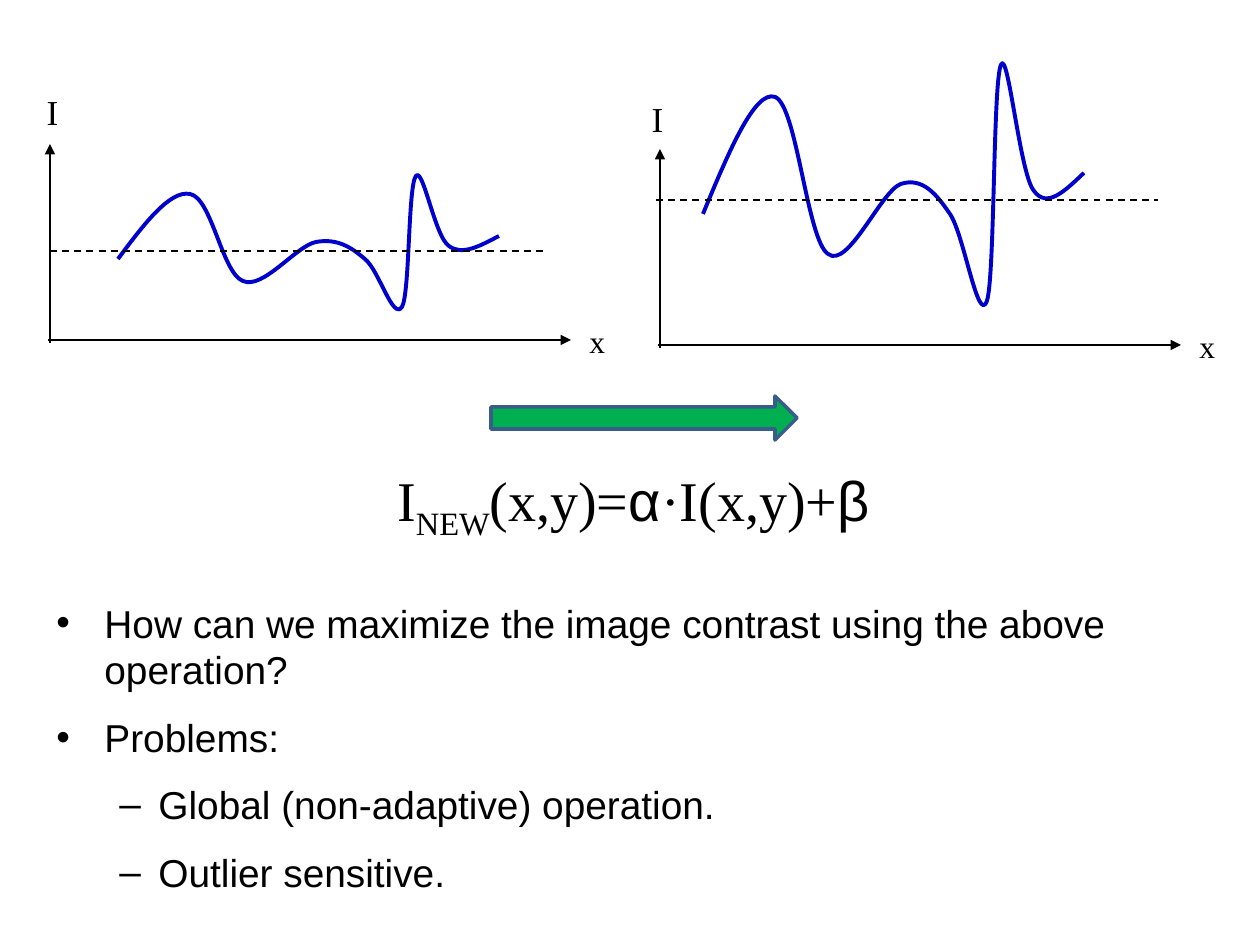
from lxml import etree
from pptx import Presentation
from pptx.dml.color import RGBColor
from pptx.enum.dml import MSO_LINE
from pptx.enum.shapes import MSO_CONNECTOR, MSO_SHAPE
from pptx.enum.text import MSO_AUTO_SIZE, PP_ALIGN
from pptx.oxml.ns import qn
from pptx.util import Pt

PX = 914400 / 126
STRAIGHT = MSO_CONNECTOR.STRAIGHT
RIGHT_ARROW = MSO_SHAPE.RIGHT_ARROW
DASH = MSO_LINE.DASH
CENTER = PP_ALIGN.CENTER
GROW = MSO_AUTO_SIZE.SHAPE_TO_FIT_TEXT
COLORS = {"ink": "000000", "curve": "0000CC", "arrow": "00B050", "edge": "385D8A"}
SERIF, SANS = "Times New Roman", "Arial"

presentation = Presentation()
presentation.slide_width = round(1260 * PX)
presentation.slide_height = round(945 * PX)
slide = presentation.slides.add_slide(presentation.slide_layouts[6])


def add_text(box, runs, size):
    """Add a centred, non-wrapping text box; runs are (text, font, baseline)."""
    shape = slide.shapes.add_textbox(*[round(v * PX) for v in box])
    frame = shape.text_frame
    frame.word_wrap = False
    frame.auto_size = GROW
    paragraph = frame.paragraphs[0]
    paragraph.alignment = CENTER
    for text, font, baseline in runs:
        run = paragraph.add_run()
        run.text = text
        run.font.size = Pt(size)
        run.font.name = font
        run.font.color.rgb = RGBColor.from_string(COLORS["ink"])
        if baseline:
            run.font._element.set("baseline", str(baseline))


def add_line(x1, y1, x2, y2, dashed=False):
    """Add a thin line, either dashed or ending in an arrowhead."""
    connector = slide.shapes.add_connector(
        STRAIGHT, *[round(v * PX) for v in (x1, y1, x2, y2)])
    connector.line.width = Pt(1)
    connector.line.color.rgb = RGBColor.from_string(COLORS["ink"])
    if dashed:
        connector.line.dash_style = DASH
    else:
        etree.SubElement(connector.line._get_or_add_ln(), qn("a:tailEnd"), type="triangle")
    etree.SubElement(connector._element.spPr, qn("a:effectLst"))


# Signal as cubic curves: a start point, then three points per segment
SIGNAL = [
    (118, 259),
    (144, 224), (170, 190), (190, 194),
    (212, 198), (222, 273), (243, 281),
    (263, 290), (296, 246), (316, 242),
    (338, 238), (352, 248), (365, 259),
    (379, 270), (393, 321), (402, 307),
    (410, 294), (408, 186), (416, 176),
    (423, 166), (435, 237), (449, 246),
    (462, 256), (480, 246), (499, 236),
]
SIGNAL_MEAN = 251

# Two graphs: axis offset, label position, mean line, signal shift and gain
graphs = [
    {"dx": 0, "dy": 0, "label": (34, 84), "mean": (50, 547, 251), "shift": 0, "gain": 1},
    {"dx": 610, "dy": 5, "label": (639, 91), "mean": (656, 1158, 200), "shift": 585, "gain": 1.8},
]
for graph in graphs:
    dx, dy = graph["dx"], graph["dy"]
    left, right, mean = graph["mean"]
    points = [(x + graph["shift"], mean + graph["gain"] * (y - SIGNAL_MEAN)) for x, y in SIGNAL]

    # Curve: line segments regrouped by three into cubic segments
    builder = slide.shapes.build_freeform(*points[0], scale=PX)
    builder.add_line_segments(points[1:], close=False)
    curve = builder.convert_to_shape()
    curve.shadow.inherit = False
    curve.fill.background()
    curve.line.width = Pt(2.25)
    curve.line.color.rgb = RGBColor.from_string(COLORS["curve"])
    segments = list(curve._element.iter(qn("a:lnTo")))
    outline = segments[0].getparent()
    for start in range(0, len(segments), 3):
        cubic = etree.SubElement(outline, qn("a:cubicBezTo"))
        for segment in segments[start:start + 3]:
            cubic.append(segment[0])
            outline.remove(segment)

    # Axes, mean line and labels
    add_line(50 + dx, 343 + dy, 50 + dx, 144 + dy)
    add_line(48 + dx, 340 + dy, 571 + dx, 340 + dy)
    add_line(left, mean, right, mean, dashed=True)
    add_text((*graph["label"], 37, 55), [("I", SERIF, 0)], 20)
    add_text((577 + dx, 316 + dy, 40, 50), [("x", SERIF, 0)], 18)

# Arrow between the graphs
arrow = slide.shapes.add_shape(
    RIGHT_ARROW, *[round(v * PX) for v in (491, 396, 306, 44)])
arrow.shadow.inherit = False
arrow.fill.solid()
arrow.fill.fore_color.rgb = RGBColor.from_string(COLORS["arrow"])
arrow.line.width = Pt(2)
arrow.line.color.rgb = RGBColor.from_string(COLORS["edge"])

# Formula
add_text((384, 459, 499, 89), [
    ("I", SERIF, 0), ("NEW", SERIF, -25000), ("(x,y)=", SERIF, 0),
    ("α", SANS, 0), ("·I(x,y)+", SERIF, 0), ("β", SANS, 0),
], 32)

# Bullets: level, text
bullets = [
    (0, "How can we maximize the image contrast using the above operation?"),
    (0, "Problems:"),
    (1, "Global (non-adaptive) operation."),
    (1, "Outlier sensitive."),
]
LEVELS = [("•", 48, -48), ("–", 102, -39)]  # character, margin, indent
body = slide.shapes.add_textbox(*[round(v * PX) for v in (44, 593, 1152, 319)])
frame = body.text_frame
frame.word_wrap = True
for index, (level, text) in enumerate(bullets):
    paragraph = frame.add_paragraph() if index else frame.paragraphs[0]
    paragraph.level = level
    paragraph.space_before = paragraph.space_after = Pt(6)
    character, margin, indent = LEVELS[level]
    properties = paragraph._p.get_or_add_pPr()
    properties.set("marL", str(round(margin * PX)))
    properties.set("indent", str(round(indent * PX)))
    etree.SubElement(properties, qn("a:buFont"), typeface=SANS)
    etree.SubElement(properties, qn("a:buChar"), char=character)
    run = paragraph.add_run()
    run.text = text
    run.font.size = Pt(22.2)
    run.font.name = SANS
    run.font.color.rgb = RGBColor.from_string(COLORS["ink"])

presentation.save("out.pptx")
